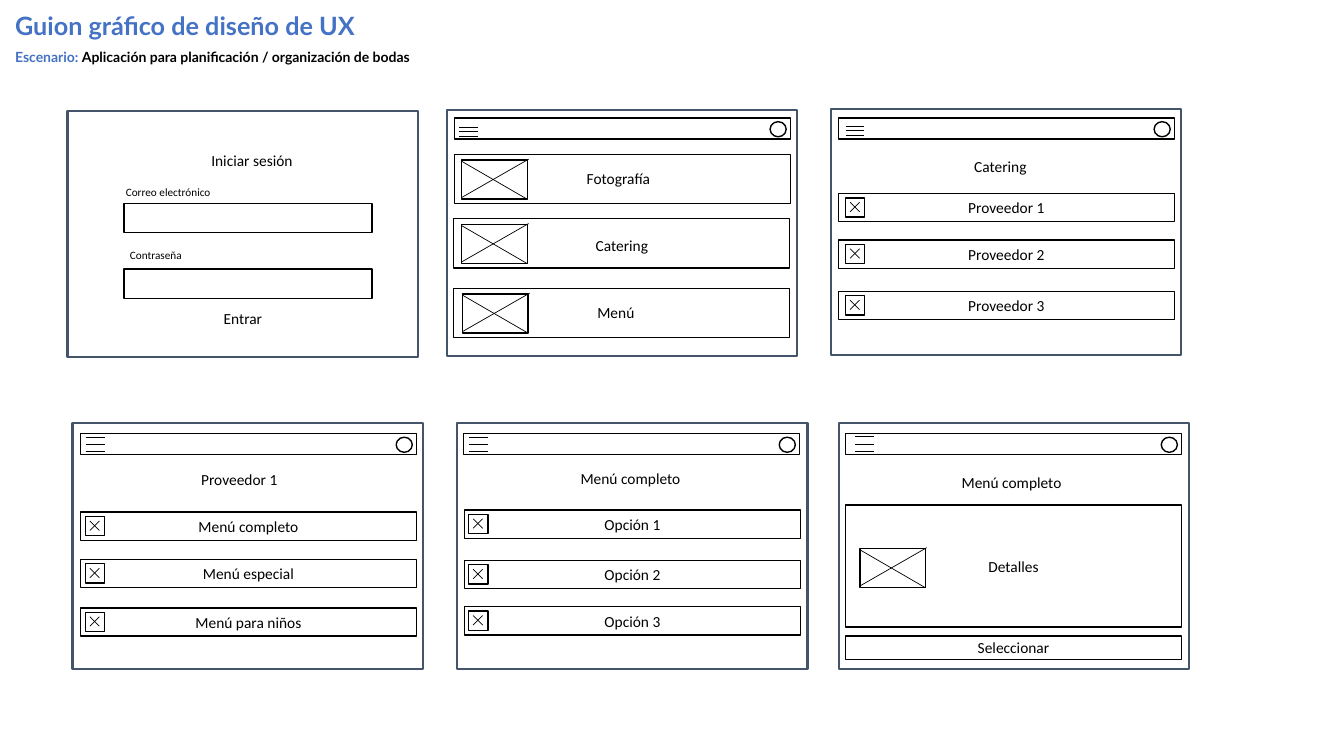
from pptx import Presentation
from pptx.dml.color import RGBColor
from pptx.enum.shapes import MSO_CONNECTOR, MSO_SHAPE
from pptx.enum.text import MSO_ANCHOR, MSO_AUTO_SIZE, PP_ALIGN
from pptx.oxml.ns import qn
from pptx.util import Pt
from lxml.etree import SubElement

BLACK = RGBColor(0x00, 0x00, 0x00)
WHITE = RGBColor(0xFF, 0xFF, 0xFF)
BLUE = RGBColor(0x44, 0x72, 0xC4)
SLATE = RGBColor(0x44, 0x54, 0x6A)

FRAME_W, FRAME_H = 250.6, 175.7
BAR_W, BAR_H = 239.8, 15.1
ROW_H = 20.2
THUMB_W, THUMB_H = 46.8, 28.1
CHECK = 13.7

LABEL = {"size": Pt(11), "name": "Calibri"}
SMALL = {"size": Pt(8), "name": "Calibri"}
TITLE = {"size": Pt(18), "name": "Lato", "bold": True}
SUBTITLE = {"size": Pt(10), "name": "Lato", "bold": True}


def add_run(p, text, fmt, color=BLACK):
    r = p.add_run()
    r.text = text
    for key, value in fmt.items():
        setattr(r.font, key, value)
    r.font.color.rgb = color


def add_box(s, x, y, w, h, text="", kind=MSO_SHAPE.RECTANGLE, fill=WHITE, line=BLACK, width=1):
    sp = s.shapes.add_shape(kind, Pt(x), Pt(y), Pt(w), Pt(h))
    sp.shadow.inherit = False
    if fill is None:
        sp.fill.background()
    else:
        sp.fill.solid()
        sp.fill.fore_color.rgb = fill
    sp.line.color.rgb = line
    sp.line.width = Pt(width)
    if text:
        tf = sp.text_frame
        tf.vertical_anchor = MSO_ANCHOR.MIDDLE
        p = tf.paragraphs[0]
        p.alignment = PP_ALIGN.CENTER
        add_run(p, text, LABEL)


def add_line(s, x1, y1, x2, y2):
    cx = s.shapes.add_connector(MSO_CONNECTOR.STRAIGHT, Pt(x1), Pt(y1), Pt(x2), Pt(y2))
    cx.line.color.rgb = BLACK
    cx.line.width = Pt(0.5)
    SubElement(cx._element.spPr, qn("a:effectLst"))


def add_label(s, x, y, w, text, fmt=LABEL, align=PP_ALIGN.CENTER):
    h = 20.9 if fmt is LABEL else 17.3
    tf = s.shapes.add_textbox(Pt(x), Pt(y), Pt(w), Pt(h)).text_frame
    tf.word_wrap = True
    p = tf.paragraphs[0]
    p.alignment = align
    add_run(p, text, fmt)


def add_frame(s, x, y):
    add_box(s, x, y, FRAME_W, FRAME_H, fill=None, line=SLATE, width=1.5)


def add_header(s, x, y, menu_dx, menu_dy, pitch):
    add_box(s, x, y, BAR_W, BAR_H)
    for i in range(3):
        line_y = y + menu_dy + i * pitch
        add_line(s, x + menu_dx, line_y, x + menu_dx + 13.5, line_y)
    add_box(s, x + 225.4, y + 2.7, 11.5, 10.8, kind=MSO_SHAPE.OVAL)


def add_thumbnail(s, x, y):
    add_box(s, x, y, THUMB_W, THUMB_H)
    add_line(s, x, y + 1, x + THUMB_W, y + THUMB_H)
    add_line(s, x + THUMB_W + 1, y - 0.5, x, y + THUMB_H - 1.2)


def add_option(s, x, y, text, check_dx):
    add_box(s, x, y, BAR_W, ROW_H, text)
    cx, cy = x + check_dx, y + 3.1
    add_box(s, cx, cy, CHECK, CHECK)
    near, far = 3.2, 10
    add_line(s, cx + near, cy + near, cx + far, cy + far)
    add_line(s, cx + near, cy + far, cx + far, cy + near)


def add_title(s):
    sp = s.shapes.title
    sp.left, sp.top, sp.width, sp.height = Pt(3.6), Pt(0), Pt(946), Pt(54.7)
    tf = sp.text_frame
    frame_format = {"word_wrap": True, "auto_size": MSO_AUTO_SIZE.NONE,
                    "vertical_anchor": MSO_ANCHOR.TOP,
                    "margin_left": Pt(7.2), "margin_right": Pt(7.2),
                    "margin_top": Pt(7.2), "margin_bottom": Pt(7.2)}
    for key, value in frame_format.items():
        setattr(tf, key, value)
    heading, scenario = tf.paragraphs[0], tf.add_paragraph()
    for p in (heading, scenario):
        p.alignment = PP_ALIGN.LEFT
        p.line_spacing = 1.0
    scenario.space_before = Pt(6)
    add_run(heading, "Guion gráfico de diseño de UX", TITLE, BLUE)
    add_run(scenario, "Escenario: ", SUBTITLE, BLUE)
    add_run(scenario, "Aplicación para planificación / organización de bodas", SUBTITLE)


def add_login(s):
    add_frame(s, 48.2, 79.2)
    for y in (145.4, 192.2):
        add_box(s, 88.6, y, 177.1, 20.9)
    add_label(s, 94.3, 104.4, 171.4, "Iniciar sesión")
    add_label(s, 87.8, 217.4, 171.4, "Entrar")
    add_label(s, 82.8, 128.9, 171.4, "Correo electrónico", SMALL, PP_ALIGN.LEFT)
    add_label(s, 85.7, 173.5, 171.4, "Contraseña", SMALL, PP_ALIGN.LEFT)


def add_categories(s):
    add_frame(s, 319, 78.5)
    add_header(s, 324.7, 84.2, 2.9, 6.5, 3.2)
    cards = [("Fotografía", 324.7, 110.2, 334.1, 215.3, 117.4, 329.8),
             ("Catering", 324, 156.2, 339.1, 210.2, 164.9, 329.8),
             ("Menú", 324, 205.9, 334.8, 210.2, 213.1, 330.5)]
    for text, x, y, label_x, label_w, label_y, thumb_x in cards:
        add_box(s, x, y, BAR_W, 35.3)
        add_label(s, label_x, label_y, label_w, text)
        add_thumbnail(s, thumb_x, y + 4)


def add_list_screen(s, frame, header, title, option_x, check_dx, options):
    add_frame(s, *frame)
    add_header(s, *header)
    add_label(s, title[0], title[1], 231.1, title[2])
    for text, y in options:
        add_option(s, option_x, y, text, check_dx)


def add_details(s):
    add_frame(s, 599, 302.4)
    add_header(s, 604.1, 309.6, 6.6, 2.2, 5.4)
    add_label(s, 607, 334.1, 231.1, "Menú completo")
    add_box(s, 604.1, 360.7, BAR_W, 87.1, "Detalles")
    add_box(s, 604.1, 454.3, BAR_W, 16.6, "Seleccionar")
    add_thumbnail(s, 614.2, 391.7)


def main():
    prs = Presentation()
    prs.slide_width, prs.slide_height = Pt(960), Pt(540)
    s = prs.slides.add_slide(prs.slide_layouts[5])
    add_title(s)
    add_login(s)
    add_categories(s)
    add_list_screen(s, (593.3, 77.8), (599, 84.2, 5, 5.8, 3.2), (599, 108.7, "Catering"), 599, 5,
                    [("Proveedor 1", 138.2), ("Proveedor 2", 171.4), ("Proveedor 3", 208.1)])
    add_list_screen(s, (51.8, 302.4), (57.6, 309.6, 3.6, 2.9, 5), (55.4, 332.6, "Proveedor 1"), 57.6, 3.4,
                    [("Menú completo", 365.8), ("Menú especial", 399.6), ("Menú para niños", 434.2)])
    add_list_screen(s, (326.2, 302.4), (331.2, 309.6, 3.6, 2.9, 5), (334.8, 331.2, "Menú completo"), 331.9, 2.9,
                    [("Opción 1", 364.3), ("Opción 2", 400.3), ("Opción 3", 433.4)])
    add_details(s)
    prs.save("out.pptx")


main()
